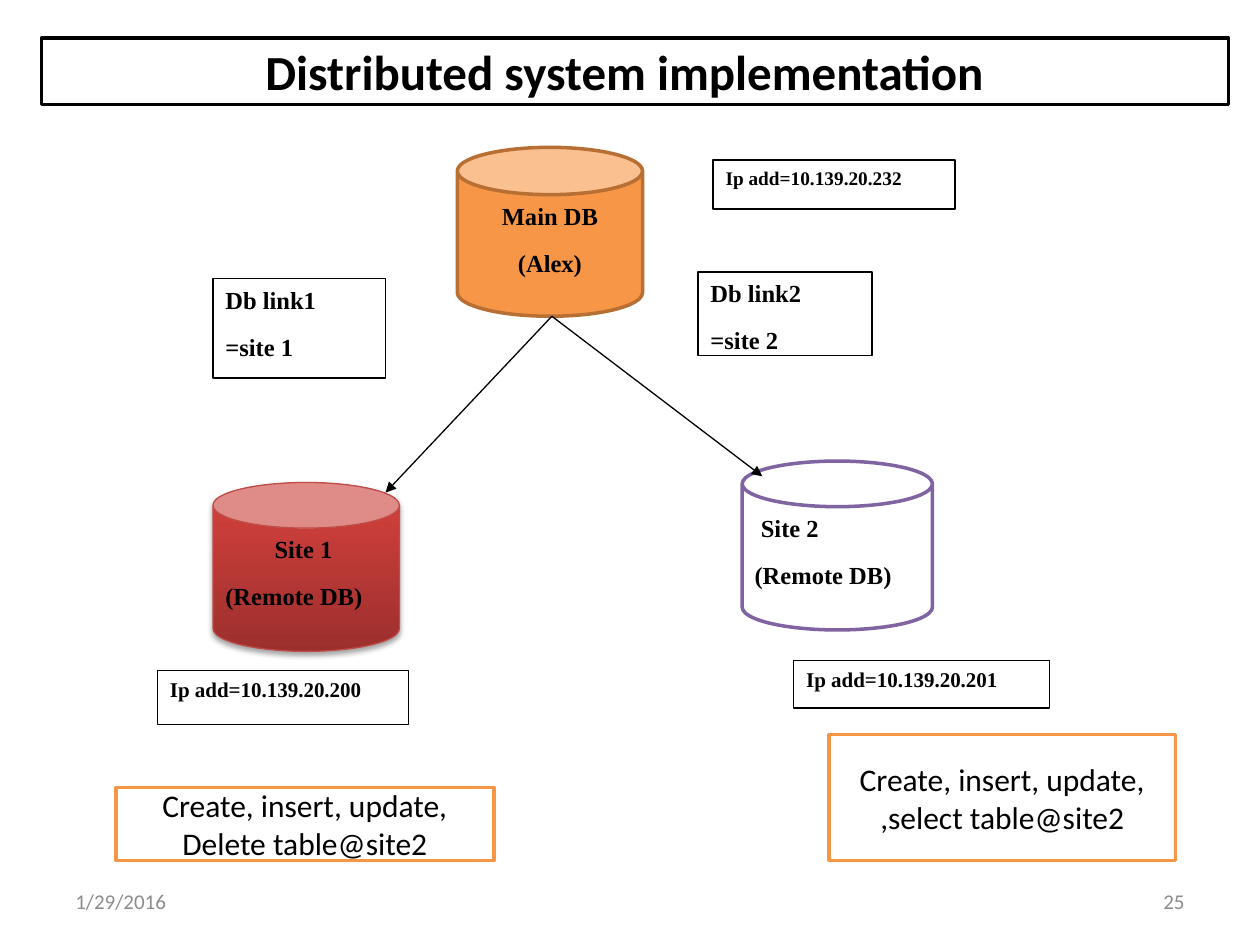
from copy import deepcopy
from lxml import etree
from pptx import Presentation
from pptx.dml.color import RGBColor
from pptx.enum.shapes import MSO_CONNECTOR, MSO_SHAPE
from pptx.enum.text import MSO_ANCHOR, MSO_AUTO_SIZE, PP_ALIGN
from pptx.oxml.ns import qn
from pptx.util import Inches, Pt

RECTANGLE, CAN = MSO_SHAPE.RECTANGLE, MSO_SHAPE.CAN
STRAIGHT = MSO_CONNECTOR.STRAIGHT
TOP, MIDDLE = MSO_ANCHOR.TOP, MSO_ANCHOR.MIDDLE
LEFT, CENTER, RIGHT = PP_ALIGN.LEFT, PP_ALIGN.CENTER, PP_ALIGN.RIGHT
NO_FIT = MSO_AUTO_SIZE.NONE

SANS, SERIF = "Calibri", "Times New Roman"
BLACK, WHITE, GRAY, ORANGE = "000000", "FFFFFF", "8C8C8C", "F79646"
COLUMNS = 100

TITLE = "Distributed system implementation"
TITLE_PLACE = (3.3, 3, 94.2, 5.3)
FOOTERS = [("1/29/2016", 5, LEFT), ("25", 71.7, RIGHT)]
FOOTER_TOP, FOOTER_WIDTH, FOOTER_HEIGHT = 69.5, 23.3, 4
COMMANDS = [
    (["Create, insert, update,", "Delete table@site2"], (9.2, 62.5, 30, 5.8)),
    (["Create, insert, update,", ",select table@site2"], (65.8, 58.3, 27.5, 10)),
]
DATABASES = [
    (["Site 2", "(Remote DB)"], (58.9, 36.6, 15.1, 13.4), 0.27, WHITE, "8064A2", 2, LEFT, 0.5),
    (["Main DB", "(Alex)"], (36.3, 11.7, 14.7, 13.4), 0.28, ORANGE, "B76F34", 2, CENTER, 0),
    (["Site 1", "(Remote DB)"], (16.9, 38.3, 14.8, 13.4), 0.27, None, "BF4C48", 0.75, LEFT, 3.9),
]
GRADIENT = [(0, "9C2F2D"), (0.8, "CB3E3A"), (1, "CE3B37")]
LINK_START = (43.8, 25.1)
LINK_ENDS = [(30.6, 39.1), (60.5, 37.8)]
LABELS = [
    (["Db link1", "=site 1"], (16.9, 22.1, 13.7, 7.9), 14),
    (["Db link2", "=site 2"], (55.4, 21.6, 13.8, 6.6), 14),
    (["Ip add=10.139.20.232"], (56.6, 12.7, 19.2, 3.9), 11),
    (["Ip add=10.139.20.201"], (63, 52.4, 20.3, 3.8), 12),
    (["Ip add=10.139.20.200"], (12.5, 53.2, 19.9, 4.3), 12),
]

deck = Presentation()
deck.slide_width, deck.slide_height = Inches(10), Inches(7.5)
page = deck.slides.add_slide(deck.slide_layouts[5])


def grid(*values):
    return [round(value * deck.slide_width / COLUMNS) for value in values]


def color(value):
    return RGBColor.from_string(value)


def outline(shape, value, width):
    shape.line.color.rgb = color(value)
    shape.line.width = Pt(width)


def paint(shape, fill, line, width):
    shape.fill.solid()
    shape.fill.fore_color.rgb = color(fill)
    outline(shape, line, width)


def write(shape, lines, font, size, value=BLACK, bold=False, align=LEFT, anchor=TOP, after=0):
    frame = shape.text_frame
    frame.text = "\n".join(lines)
    frame.word_wrap = True
    frame.auto_size = NO_FIT
    frame.vertical_anchor = anchor
    for para in frame.paragraphs:
        para.alignment = align
        para.space_after = Pt(after)
        for span in para.runs:
            span.font.name, span.font.size, span.font.bold = font, Pt(size), bold
            span.font.color.rgb = color(value)


def add_box(kind, place):
    box = page.shapes.add_shape(kind, *grid(*place))
    box.shadow.inherit = False
    return box


def add_gradient(shape):
    shape.fill.gradient()
    shape.fill.gradient_angle = 90
    stop_list = shape._element.spPr.find(qn("a:gradFill")).find(qn("a:gsLst"))
    stop_list.append(deepcopy(stop_list[-1]))
    for stop, (position, value) in zip(shape.fill.gradient_stops, GRADIENT):
        stop.position = position
        stop.color.rgb = color(value)


def add_shadow(shape):
    effects = shape._element.spPr.find(qn("a:effectLst"))
    shadow = etree.SubElement(effects, qn("a:outerShdw"), blurRad=str(Pt(3.1)),
                              dist=str(Pt(1.8)), dir="5400000", rotWithShape="0")
    tint = etree.SubElement(shadow, qn("a:srgbClr"), val=BLACK)
    etree.SubElement(tint, qn("a:alpha"), val="35000")


title = page.shapes.title
title.left, title.top, title.width, title.height = grid(*TITLE_PLACE)
paint(title, WHITE, BLACK, 2)
write(title, [TITLE], SANS, 28, bold=True, align=CENTER, anchor=MIDDLE)
title.text_frame.margin_right = Inches(0.27)

for text, left, align in FOOTERS:
    footer = page.shapes.add_textbox(*grid(left, FOOTER_TOP, FOOTER_WIDTH, FOOTER_HEIGHT))
    write(footer, [text], SANS, 12, GRAY, align=align, anchor=MIDDLE)

for lines, place in COMMANDS:
    command = add_box(RECTANGLE, place)
    paint(command, WHITE, ORANGE, 2)
    write(command, lines, SANS, 18, align=CENTER, anchor=MIDDLE)

for lines, place, depth, fill, line, width, align, indent in DATABASES:
    database = add_box(CAN, place)
    database.adjustments[0] = depth
    if fill:
        paint(database, fill, line, width)
    else:
        add_gradient(database)
        outline(database, line, width)
        add_shadow(database)
    write(database, lines, SERIF, 14, bold=True, align=align, after=10)
    first = database.text_frame.paragraphs[0]
    first._p.get_or_add_pPr().set("marL", str(grid(indent)[0]))

for end in LINK_ENDS:
    link = page.shapes.add_connector(STRAIGHT, *grid(*LINK_START, *end))
    outline(link, BLACK, 0.75)
    etree.SubElement(link.line._get_or_add_ln(), qn("a:tailEnd"), type="triangle")
    etree.SubElement(link._element.spPr, qn("a:effectLst"))

for lines, place, size in LABELS:
    label = add_box(RECTANGLE, place)
    paint(label, WHITE, BLACK, 0.75)
    write(label, lines, SERIF, size, bold=True, after=10)

deck.save("out.pptx")
